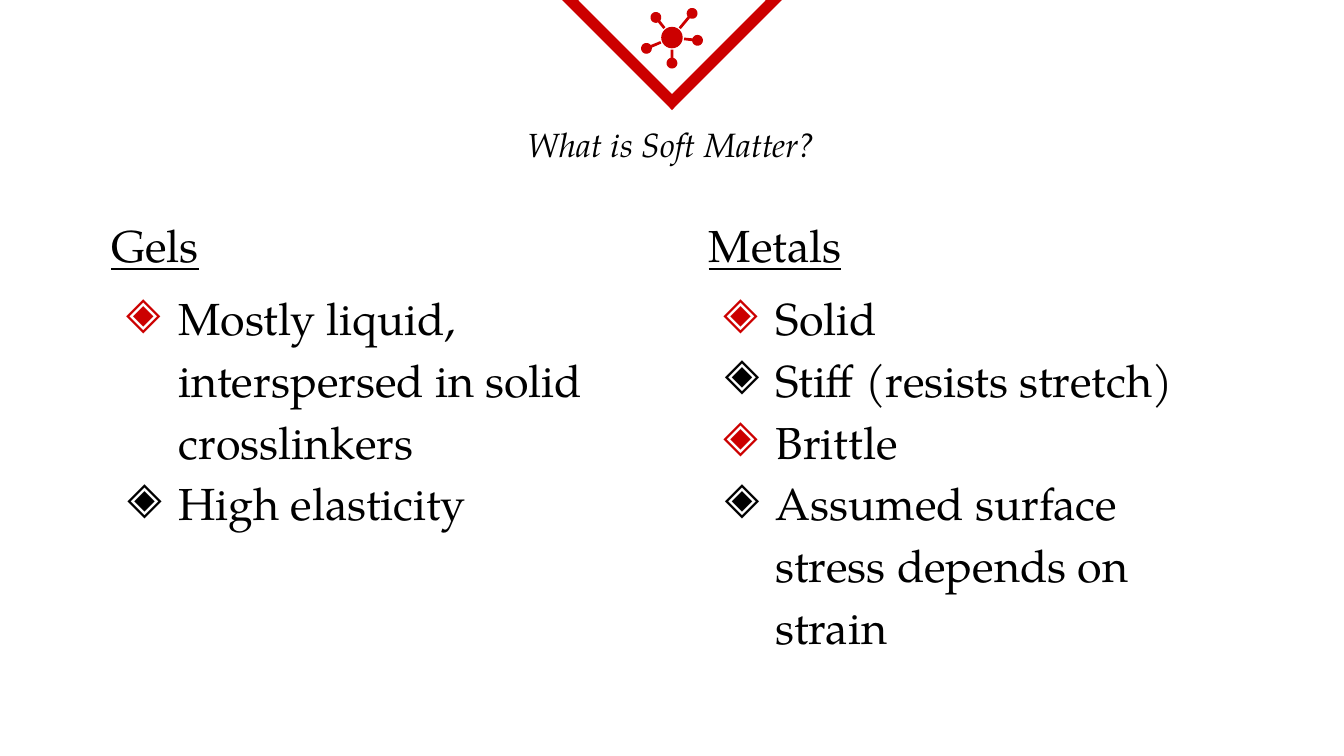
from dataclasses import dataclass
from math import atan2, cos, pi, sin

from lxml.etree import SubElement
from pptx import Presentation
from pptx.dml.color import RGBColor
from pptx.enum.shapes import MSO_SHAPE
from pptx.enum.text import MSO_ANCHOR, MSO_AUTO_SIZE, PP_ALIGN
from pptx.oxml.ns import qn
from pptx.util import Inches, Pt

WIDE = 10
HIGH = WIDE * 9 / 16
FONT = "TeX Gyre Pagella"
COLORS = {"red": "CC0000", "black": "000000"}
HUB = (5, 0.28)
HUB_SIZE, NODE_SIZE, STEM = 0.08, 0.04, 0.01  # radii and half stem width
STEM_END = 0.09  # distance from the hub's centre
NODES = [(5.15, 0.1), (4.88, 0.13), (4.81, 0.36), (5, 0.47), (5.19, 0.3)]


@dataclass
class Box:
    """Place and size in percent of the slide."""
    left: float
    top: float
    width: float
    height: float

    def lengths(self) -> list:
        return [Inches(self.left * WIDE / 100), Inches(self.top * HIGH / 100),
                Inches(self.width * WIDE / 100),
                Inches(self.height * HIGH / 100)]


@dataclass
class Column:
    head: str
    items: list[str]
    box: Box


COLUMNS = [
    Column("Metals",
           ["Solid", "Stiff (resists stretch)", "Brittle",
            "Assumed surface stress depends on strain"],
           Box(51.75, 25.95, 38.7, 67.4)),
    Column("Gels",
           ["Mostly liquid, interspersed in solid crosslinkers",
            "High elasticity"],
           Box(7.3, 25.95, 42.7, 63.1)),
]


def color(name: str) -> RGBColor:
    return RGBColor.from_string(COLORS[name])


def set_font(para, size: int) -> None:
    font = para.font
    font.name, font.size = FONT, Pt(size)
    font.color.rgb = color("black")


def set_frame(frame) -> None:
    frame.word_wrap = True
    frame.auto_size = MSO_AUTO_SIZE.NONE
    frame.vertical_anchor = MSO_ANCHOR.TOP
    frame.margin_left = frame.margin_right = Inches(0.1)
    frame.margin_top = frame.margin_bottom = Inches(0.1)


def add_bullet(para, name: str, hang: float) -> None:
    props = para._p.get_or_add_pPr()
    props.set("marL", str(Inches(0.5)))
    props.set("indent", str(-Inches(hang)))
    tint = SubElement(props, qn("a:buClr"))
    SubElement(tint, qn("a:srgbClr"), val=COLORS[name])
    SubElement(props, qn("a:buChar"), char="◈")


def add_title(slide, text: str) -> None:
    title = slide.shapes.title
    title.left, title.top, title.width, title.height = Box(
        11.3, 14.6, 77.4, 10.5).lengths()
    set_frame(title.text_frame)
    para = title.text_frame.paragraphs[0]
    para.text, para.alignment = text, PP_ALIGN.CENTER
    set_font(para, 18)
    para.font.italic = True


def add_column(slide, column: Column) -> None:
    frame = slide.shapes.add_textbox(*column.box.lengths()).text_frame
    set_frame(frame)
    for row, text in enumerate([column.head, *column.items]):
        para = frame.add_paragraph() if row else frame.paragraphs[0]
        para.text = text
        para.alignment = PP_ALIGN.LEFT if row else PP_ALIGN.JUSTIFY
        para.line_spacing = 1.15
        para.space_before = Pt(6 if row < 2 else 0)
        if row:
            add_bullet(para, *(("red", 0.39) if row % 2 else ("black", 0.38)))
        set_font(para, 24)
        para.font.underline = row == 0


def add_badge(slide) -> None:
    badge = slide.shapes.add_shape(
        MSO_SHAPE.ISOSCELES_TRIANGLE,
        *Box(41.8, -1.1, 16.4, 14.6).lengths())
    badge.rotation = 180
    badge.shadow.inherit = False
    badge.fill.background()
    badge.line.color.rgb = color("red")
    badge.line.width = Pt(6)
    SubElement(badge.line._get_or_add_ln(), qn("a:miter"), lim="800000")


def paint(shape) -> None:
    shape.shadow.inherit = False
    shape.fill.solid()
    shape.fill.fore_color.rgb = color("red")
    shape.line.fill.background()


def add_node(shapes, x: float, y: float) -> None:
    """Draw a round node with a stem that points at the hub."""
    turn = atan2(HUB[1] - y, HUB[0] - x)
    gap, steps = 0.27, 40
    sweep = [turn + gap + (2 * pi - 2 * gap) * i / steps
             for i in range(steps + 1)]
    points = [(x + NODE_SIZE * cos(a), y + NODE_SIZE * sin(a)) for a in sweep]
    for side in (1, -1):
        points.append(
            (HUB[0] - STEM_END * cos(turn) + side * STEM * sin(turn),
             HUB[1] - STEM_END * sin(turn) - side * STEM * cos(turn)))
    start, *rest = [(Inches(a), Inches(b)) for a, b in points]
    path = shapes.build_freeform(*start)
    path.add_line_segments(rest)
    paint(path.convert_to_shape())


def add_icon(slide) -> None:
    shapes = slide.shapes.add_group_shape().shapes
    for node in NODES:
        add_node(shapes, *node)
    corner = [Inches(c - HUB_SIZE) for c in HUB]
    paint(shapes.add_shape(
        MSO_SHAPE.OVAL, *corner, *[Inches(2 * HUB_SIZE)] * 2))


def main() -> None:
    deck = Presentation()
    deck.slide_width, deck.slide_height = Inches(WIDE), Inches(HIGH)
    slide = deck.slides.add_slide(deck.slide_layouts[5])
    add_badge(slide)
    add_title(slide, "What is Soft Matter?")
    for column in COLUMNS:
        add_column(slide, column)
    add_icon(slide)
    deck.save("out.pptx")


if __name__ == "__main__":
    main()
